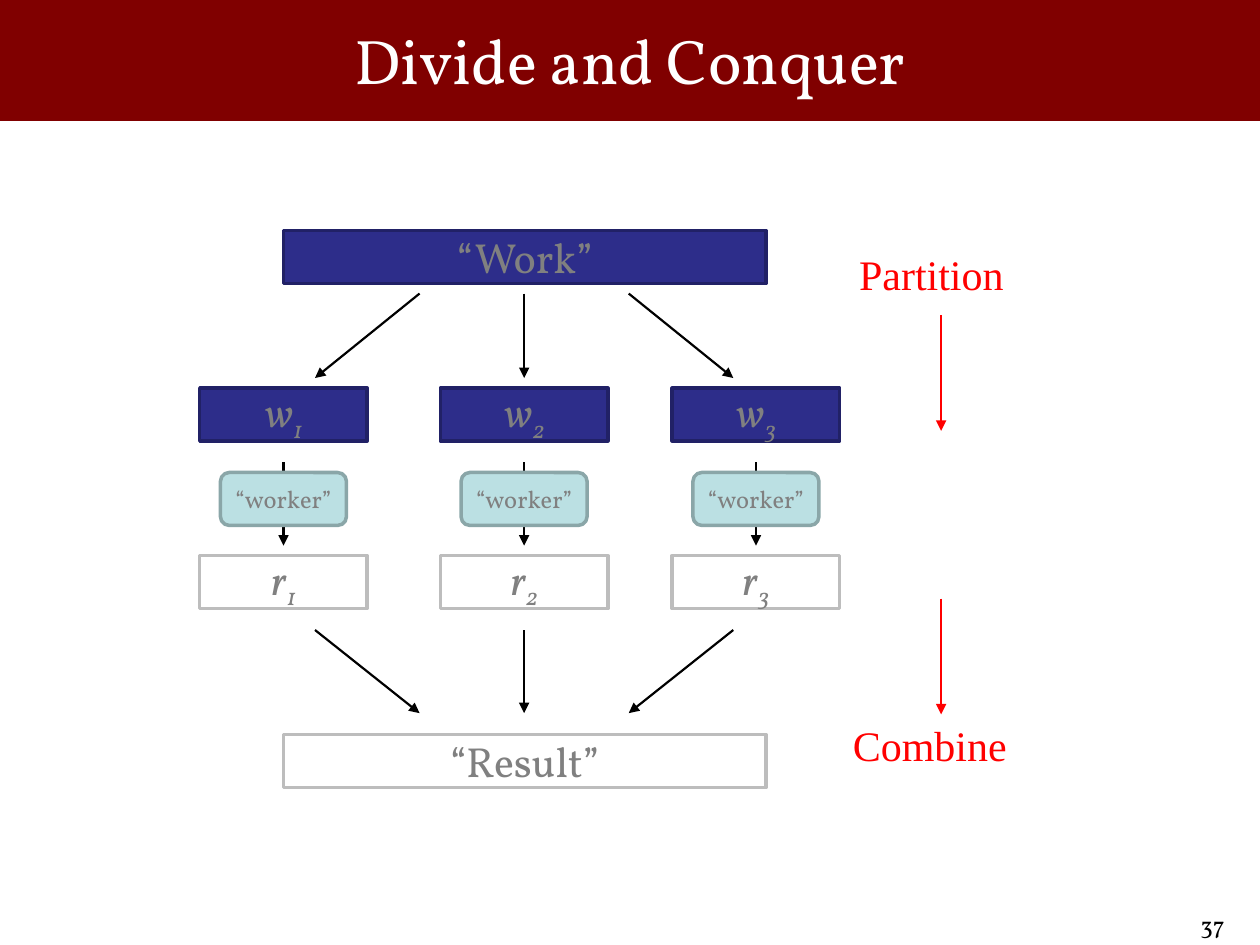
from dataclasses import dataclass
from lxml import etree
from pptx import Presentation
from pptx.dml.color import RGBColor
from pptx.enum.shapes import MSO_CONNECTOR, MSO_SHAPE
from pptx.enum.text import MSO_ANCHOR, PP_ALIGN
from pptx.oxml.ns import qn
from pptx.util import Inches, Pt

RECT, ROUND = MSO_SHAPE.RECTANGLE, MSO_SHAPE.ROUNDED_RECTANGLE
LINE = MSO_CONNECTOR.STRAIGHT
MID, TOP = MSO_ANCHOR.MIDDLE, MSO_ANCHOR.TOP
LEFT, MIDDLE, RIGHT = PP_ALIGN.LEFT, PP_ALIGN.CENTER, PP_ALIGN.RIGHT


@dataclass(frozen=True)
class Theme:
    font: str = "Vollkorn"
    serif: str = "Times New Roman"
    band: str = "800000"
    white: str = "FFFFFF"
    black: str = "000000"
    red: str = "FF0000"
    gray: str = "808080"
    # fill and line of each kind of box
    work: tuple = ("2D2D8A", "212166")
    result: tuple = ("FFFFFF", "BDBDBD")
    worker: tuple = ("BBE0E3", "8AA6A8")
    head: int = 36
    body: int = 24
    small: int = 14


T = Theme()


def rgb(code):
    return RGBColor.from_string(code)


def write(shape, text, size, color, align=MIDDLE, anchor=MID, font=T.font, sub="", wrap=True):
    """Write one line; a subscript makes it an italic symbol."""
    frame = shape.text_frame
    frame.word_wrap = wrap
    frame.vertical_anchor = anchor
    para = frame.paragraphs[0]
    para.alignment = align
    for part in filter(None, (text, sub)):
        run = para.add_run()
        run.text = part
        run.font.name, run.font.size = font, Pt(size)
        run.font.color.rgb = rgb(color)
        if sub:
            run.font.italic = True
        if part is sub:
            run.font._element.set("baseline", "-25000")


def label(slide, box, text, size, color, **style):
    shape = slide.shapes.add_textbox(*map(Inches, box))
    write(shape, text, size, color, **style)


def block(slide, box, colors, kind=RECT):
    shape = slide.shapes.add_shape(kind, *map(Inches, box))
    shape.shadow.inherit = False
    fill, line = colors
    shape.fill.solid()
    shape.fill.fore_color.rgb = rgb(fill)
    shape.line.color.rgb = rgb(line)
    shape.line.width = Pt(2)
    return shape


def arrow(slide, start, end, color=T.black, width=1.25):
    link = slide.shapes.add_connector(LINE, *map(Inches, (*start, *end)))
    link.line.color.rgb = rgb(color)
    link.line.width = Pt(width)
    etree.SubElement(link.line._get_or_add_ln(), qn("a:tailEnd"), type="triangle")
    etree.SubElement(link._element.spPr, qn("a:effectLst"))


def header(slide, box, text):
    block(slide, box, (T.band, T.band))
    x, y, w, h = box
    label(slide, (x + 0.5, y + 0.08, w - 1, h - 0.17), text, T.head, T.white)


def flow(slide, box):
    """Work splits into three columns, which join in the result."""
    x, y, w, h = box
    tall, wide = 0.42, 1.33
    mids = [x + 0.67, x + 2.58, x + w - 0.67]
    hub = mids[1]

    # Work and result bars
    for top, text, colors in ((y, "“Work”", T.work), (y + h - tall, "“Result”", T.result)):
        bar = block(slide, (x + 0.67, top, 3.83, tall), colors)
        write(bar, text, T.body, T.gray)

    # Fan out and fan in
    for side in (-1, 0, 1):
        near, far = hub + side * 0.83, hub + side * 1.66
        arrow(slide, (near, y + 0.5), (far, y + 1.17))
        arrow(slide, (far, y + 3.17), (near, y + 3.83))

    # One column for each worker
    for num, mid in enumerate(mids, 1):
        for name, top, colors in (("w", y + 1.25, T.work), ("r", y + 2.58, T.result)):
            cell = block(slide, (mid - wide / 2, top, wide, tall), colors)
            write(cell, name, T.body, T.gray, sub=str(num))
        arrow(slide, (mid, y + 1.84), (mid, y + 2.5))
        node = block(slide, (mid - 0.5, y + 1.92, 1, tall), T.worker, ROUND)
        write(node, "“worker”", T.small, T.gray, wrap=False)


def phases(slide, box):
    """Red names of the two phases, each with an arrow."""
    x, y, w, h = box
    tall, mid = 0.51, x + 0.8
    for text, left, wide, top, start in (
        ("Partition", x + 0.05, w - 0.07, y, y + 0.58),
        ("Combine", x, w, y + h - tall, y + 2.83),
    ):
        label(slide, (left, top, wide, tall), text, T.body, T.red,
              align=LEFT, anchor=TOP, font=T.serif, wrap=False)
        arrow(slide, (mid, start), (mid, start + 0.92), T.red, 1.5)


def main():
    deck = Presentation()
    deck.slide_width, deck.slide_height = Inches(10), Inches(7.5)
    slide = deck.slides.add_slide(deck.slide_layouts[6])
    header(slide, (0, 0, 10, 0.95), "Divide and Conquer")
    flow(slide, (1.58, 1.83, 5.09, 4.42))
    phases(slide, (6.67, 1.92, 1.64, 4.25))
    label(slide, (7.62, 7.17, 2.2, 0.3), "37", T.small, T.black, align=RIGHT, anchor=TOP)
    deck.save("out.pptx")


if __name__ == "__main__":
    main()
